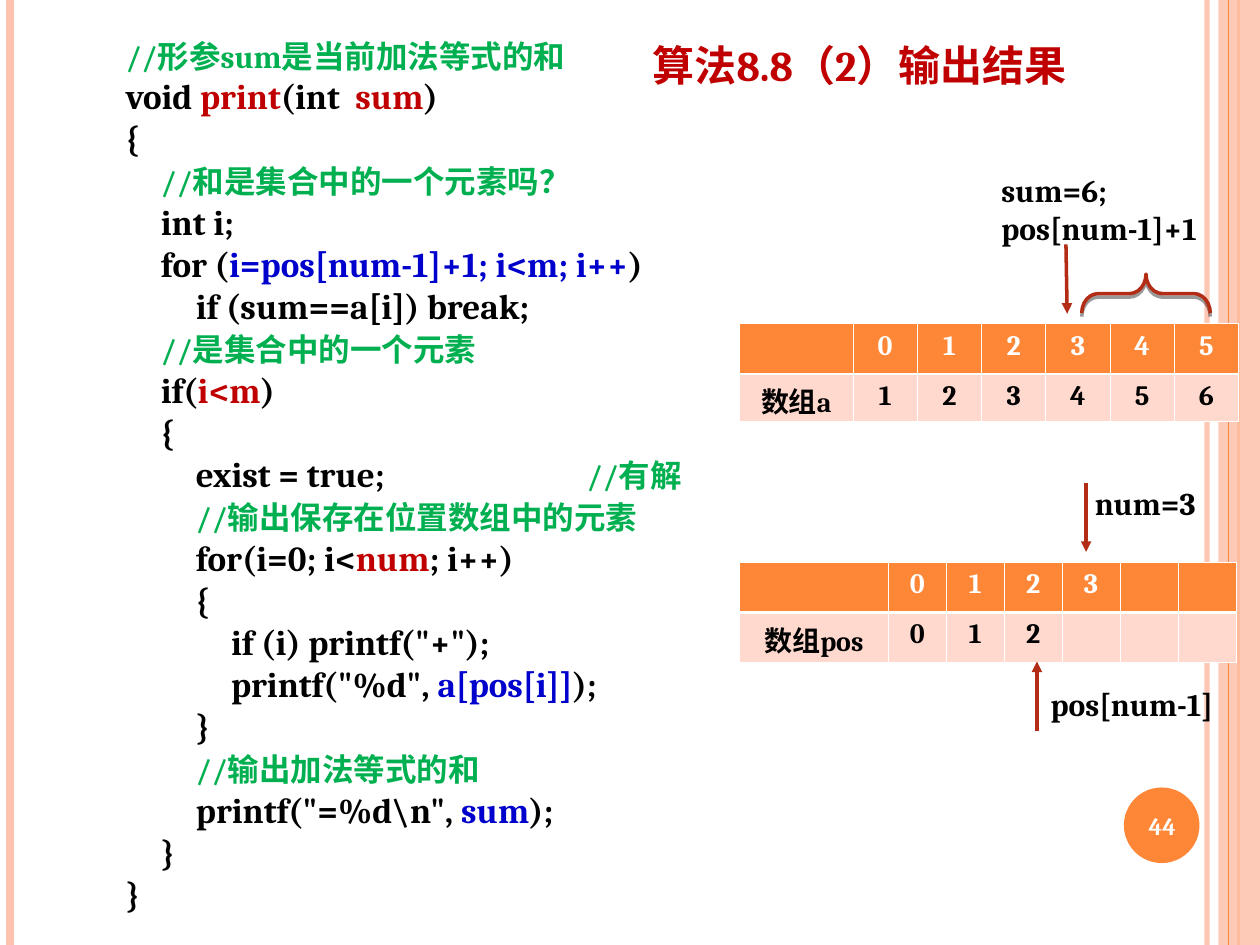
from lxml import etree
from pptx import Presentation
from pptx.dml.color import RGBColor
from pptx.enum.shapes import MSO_CONNECTOR, MSO_SHAPE
from pptx.enum.text import MSO_ANCHOR, MSO_AUTO_SIZE, PP_ALIGN
from pptx.oxml.ns import qn
from pptx.util import Inches, Pt

RED = RGBColor(0xC0, 0x00, 0x00)
GREEN = RGBColor(0x00, 0xB0, 0x50)
BLUE = RGBColor(0x00, 0x00, 0xCC)
BLACK = RGBColor(0x00, 0x00, 0x00)
WHITE = RGBColor(0xFF, 0xFF, 0xFF)
ORANGE = RGBColor(0xFE, 0x86, 0x37)
PEACH = RGBColor(0xFE, 0xC3, 0xAE)
PINK = RGBColor(0xFF, 0xD9, 0xCE)
RUST = RGBColor(0xB3, 0x2C, 0x16)
LINE = MSO_CONNECTOR.STRAIGHT
RECT, OVAL, BRACE = MSO_SHAPE.RECTANGLE, MSO_SHAPE.OVAL, MSO_SHAPE.LEFT_BRACE
LEFT, CENTER = PP_ALIGN.LEFT, PP_ALIGN.CENTER
BOTTOM, MIDDLE = MSO_ANCHOR.BOTTOM, MSO_ANCHOR.MIDDLE
GROW = MSO_AUTO_SIZE.SHAPE_TO_FIT_TEXT

prs = Presentation()
prs.slide_width, prs.slide_height = Inches(10), Inches(7.5)
slide = prs.slides.add_slide(prs.slide_layouts[5])
shapes = slide.shapes


def write(para, text, size, color):
    run = para.add_run()
    run.text = text
    run.font.name = "Cambria"
    run.font.size = Pt(size)
    run.font.bold = True
    run.font.color.rgb = color


def draw(x1, y1, x2, y2, color, width):
    line = shapes.add_connector(LINE, Inches(x1), Inches(y1), Inches(x2), Inches(y2))
    line.line.color.rgb = color
    line.line.width = Pt(width)
    props = line._element.spPr
    etree.SubElement(props, qn("a:effectLst"))
    return props


# Side stripes
edge = draw(9.58, 0, 9.58, 7.5, PEACH, 3)
draw(0.08, 0, 0.08, 7.5, PEACH, 4.5)
draw(9.83, 0, 9.83, 7.5, ORANGE, 1.5)
band = shapes.add_shape(RECT, Inches(9.67), 0, Inches(0.33), Inches(7.5))
band.shadow.inherit = False
band.fill.solid()
band.fill.fore_color.rgb = PEACH
band.line.fill.background()
draw(9.75, 0, 9.75, 7.5, ORANGE, 0.75)
for props, alpha in ((edge.find(qn("a:ln")), 93), (band._element.spPr, 87)):
    tone = props.find(qn("a:solidFill"))[0]
    etree.SubElement(tone, qn("a:alpha"), val=str(alpha * 1000))

# Slide number
disc = shapes.add_shape(OVAL, Inches(8.92), Inches(6.25), Inches(0.6), Inches(0.6))
disc.shadow.inherit = False
disc.fill.solid()
disc.fill.fore_color.rgb = ORANGE
disc.line.fill.background()
box = shapes.add_textbox(Inches(8.89), Inches(6.27), Inches(0.67), Inches(0.57))
box.text_frame.word_wrap = True
box.text_frame.vertical_anchor = MIDDLE
para = box.text_frame.paragraphs[0]
para.alignment = CENTER
write(para, "44", 14, WHITE)

# Title
title = shapes.title
title.left, title.top = Inches(5.08), 0
title.width, title.height = Inches(4.73), Inches(0.76)
title.text_frame.vertical_anchor = BOTTOM
para = title.text_frame.paragraphs[0]
para.alignment = LEFT
write(para, "算法8.8（2）输出结果", 24, RED)

# Code listing: runs of each line, comments in green
code = [
    [("//形参sum是当前加法等式的和", GREEN)],
    [("void ", BLACK), ("print", RED), ("(int  ", BLACK), ("sum", RED), (")", BLACK)],
    [("{", BLACK)],
    [("　", BLACK), ("//和是集合中的一个元素吗？", GREEN)],
    [("　int i;", BLACK)],
    [("　for (", BLACK), ("i=pos[num-1]+1; i<m; i++", BLUE), (")", BLACK)],
    [("　　if (sum==a[i]) break;", BLACK)],
    [("　", BLACK), ("//是集合中的一个元素", GREEN)],
    [("　if(", BLACK), ("i<m", RED), (")", BLACK)],
    [("　{", BLACK)],
    [("　　exist = true;\t", BLACK), ("//有解", GREEN)],
    [("　　", BLACK), ("//输出保存在位置数组中的元素", GREEN)],
    [("　　for(i=0; i<", BLACK), ("num", RED), ("; i++)", BLACK)],
    [("　　{", BLACK)],
    [("　　　if (i) printf(\"+\");", BLACK)],
    [("　　　printf(\"%d\", ", BLACK), ("a[pos[i]]", BLUE), (");", BLACK)],
    [("　　}", BLACK)],
    [("　　", BLACK), ("//输出加法等式的和", GREEN)],
    [("　　printf(\"=%d\\n\", ", BLACK), ("sum", BLUE), (");", BLACK)],
    [("　}", BLACK)],
    [("}", BLACK)],
]
box = shapes.add_textbox(Inches(0.9), Inches(0.21), Inches(8.28), Inches(7.17))
frame = box.text_frame
frame.word_wrap = True
for i, runs in enumerate(code):
    para = frame.add_paragraph() if i else frame.paragraphs[0]
    para.line_spacing = Pt(24)
    if "\t" in runs[0][0]:
        tabs = etree.SubElement(para._p.get_or_add_pPr(), qn("a:tabLst"))
        etree.SubElement(tabs, qn("a:tab"), pos=str(Inches(3.66)), algn="l")
    for text, color in runs:
        write(para, text, 18 if color == GREEN else 20, color)

# Array tables: top, column widths, header row, value row
tables = [
    (2.57, [0.9] + [0.51] * 6, ["", *"012345"], ["数组a", *"123456"]),
    (4.46, [1.18] + [0.46] * 6, ["", *"0123", "", ""], ["数组pos", *"012", "", "", ""]),
]
for top, widths, *rows in tables:
    grid = shapes.add_table(2, 7, Inches(5.87), Inches(top), Inches(3.96), Inches(0.74)).table
    grid.horz_banding = False
    for col, width in zip(grid.columns, widths):
        col.width = Inches(width)
    for r, (texts, fill, color) in enumerate(zip(rows, (ORANGE, PINK), (WHITE, BLACK))):
        grid.rows[r].height = Inches(0.37)
        for c, text in enumerate(texts):
            cell = grid.cell(r, c)
            props = cell._tc.get_or_add_tcPr()
            thick = "lnT" if r else "lnB"
            for side in ("lnL", "lnR", "lnT", "lnB"):
                width = Pt(1.47 if side == thick else 0.45)
                rule = etree.SubElement(props, qn("a:" + side), w=str(width))
                paint = etree.SubElement(rule, qn("a:solidFill"))
                etree.SubElement(paint, qn("a:srgbClr"), val=str(WHITE))
            cell.fill.solid()
            cell.fill.fore_color.rgb = fill
            if text:
                para = cell.text_frame.paragraphs[0]
                para.alignment = CENTER
                write(para, text, 16, color)

# Brace over the remaining items
brace = shapes.add_shape(BRACE, Inches(8.94), Inches(1.82), Inches(0.31), Inches(1.02))
brace.rotation = 90
brace.adjustments[0] = 0.42
brace.fill.background()
brace.line.color.rgb = RUST
brace.line.width = Pt(2)
brace.shadow.inherit = False
glow = etree.SubElement(brace._element.spPr.find(qn("a:effectLst")), qn("a:outerShdw"),
                        dist=str(Pt(2)), dir="5400000", rotWithShape="0")
tone = etree.SubElement(glow, qn("a:srgbClr"), val=str(BLACK))
etree.SubElement(tone, qn("a:alpha"), val="40000")

# Arrows, each from tail to tip
for x1, y1, x2, y2 in ((8.62, 3.83, 8.62, 4.38), (8.23, 5.8, 8.23, 5.25),
                       (8.46, 1.94, 8.47, 2.49)):
    props = draw(x1, y1, x2, y2, RUST, 2)
    etree.SubElement(props.find(qn("a:ln")), qn("a:tailEnd"), type="triangle")

# Labels
for x, y, w, h, texts in (
    (8.59, 3.79, 1.08, 0.4, ["num=3"]),
    (8.24, 5.39, 1.65, 0.4, ["pos[num-1]"]),
    (7.85, 1.31, 1.94, 0.7, ["sum=6;", "pos[num-1]+1"]),
):
    frame = shapes.add_textbox(Inches(x), Inches(y), Inches(w), Inches(h)).text_frame
    frame.word_wrap = False
    frame.auto_size = GROW
    for i, text in enumerate(texts):
        para = frame.add_paragraph() if i else frame.paragraphs[0]
        write(para, text, 18, BLACK)

prs.save("out.pptx")
